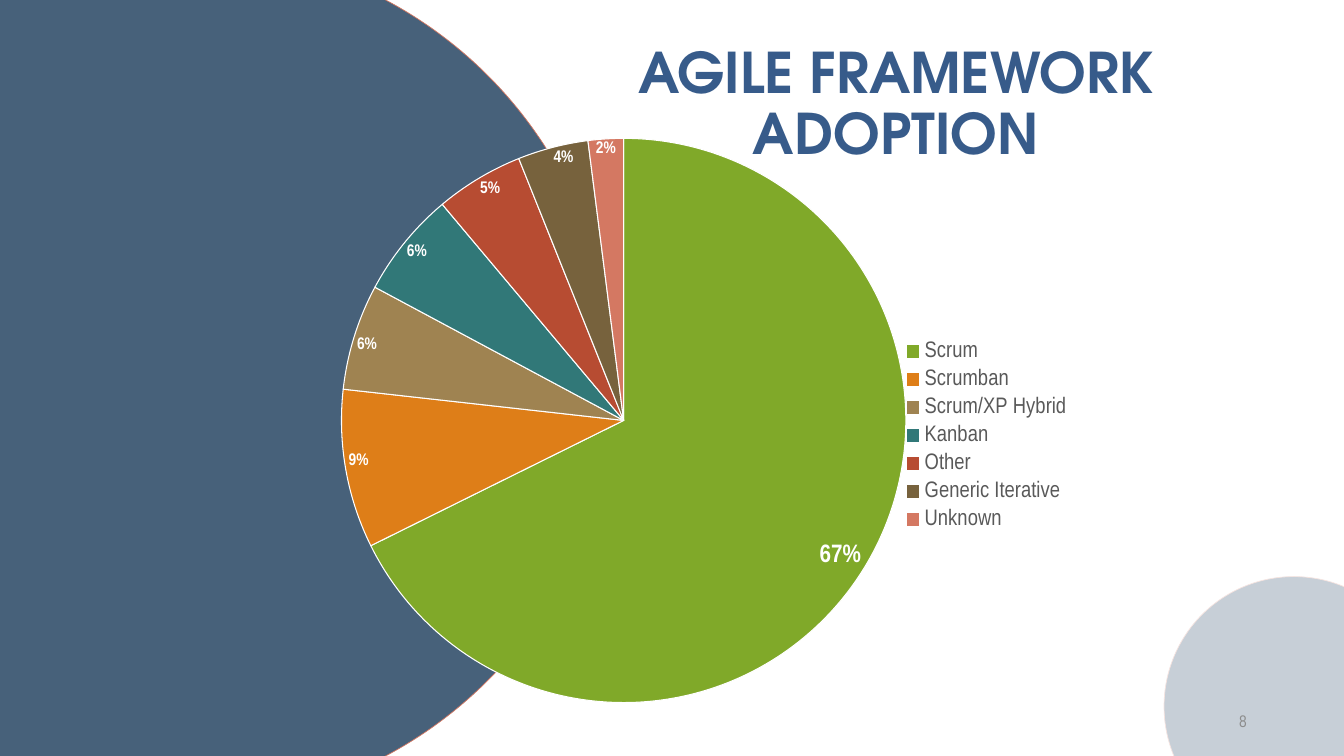
from lxml import etree
from pptx import Presentation
from pptx.chart.data import CategoryChartData
from pptx.dml.color import RGBColor
from pptx.enum.chart import XL_CHART_TYPE as ChartType
from pptx.enum.chart import XL_LABEL_POSITION as LabelPosition
from pptx.enum.chart import XL_LEGEND_POSITION as LegendPosition
from pptx.enum.shapes import MSO_SHAPE as Shape
from pptx.enum.text import MSO_ANCHOR as Anchor
from pptx.enum.text import MSO_AUTO_SIZE as AutoSize
from pptx.enum.text import PP_ALIGN as Align
from pptx.oxml.ns import qn
from pptx.util import Inches, Pt

COLORS = {
    "navy": "47617A", "mist": "C7CFD7", "coral": "D47862", "blush": "F6E4E0",
    "title": "375B8A", "number": "8C8C8C", "legend": "595959", "white": "FFFFFF",
}
BODY = "Arial Narrow"
HEADING = "TeX Gyre Adventor"
FRAMEWORKS = [
    ("Scrum", 67, "80A929"),
    ("Scrumban", 9, "DE7E18"),
    ("Scrum/XP Hybrid", 6, "9F8351"),
    ("Kanban", 6, "317878"),
    ("Other", 5, "B74C32"),
    ("Generic Iterative", 4, "77623D"),
    ("Unknown", 2, COLORS["coral"]),
]


def rgb(name):
    return RGBColor.from_string(COLORS.get(name, name))


def set_font(font, size, color, name=BODY, bold=False):
    font.size, font.name, font.bold = Pt(size), name, bold
    font.color.rgb = rgb(color)


def write(frame, text, align=Align.LEFT, anchor=Anchor.TOP, spacing=1.0, **style):
    frame.word_wrap = True
    frame.auto_size = AutoSize.NONE
    frame.vertical_anchor = anchor
    frame.text = text
    for paragraph in frame.paragraphs:
        paragraph.alignment = align
        paragraph.line_spacing = spacing
        paragraph.space_before = Pt(0)
        for run in paragraph.runs:
            set_font(run.font, **style)


def place_manually(parent, x, y, w, h, inner=False):
    for old in parent.findall(qn("c:layout")):
        parent.remove(old)
    layout = etree.Element(qn("c:layout"))
    manual = etree.SubElement(layout, qn("c:manualLayout"))
    settings = [("layoutTarget", "inner")] if inner else []
    settings += [("xMode", "edge"), ("yMode", "edge"),
                 ("x", x), ("y", y), ("w", w), ("h", h)]
    for tag, value in settings:
        etree.SubElement(manual, qn(f"c:{tag}")).set("val", str(value))
    position = parent.find(qn("c:legendPos"))
    if position is None:
        parent.insert(0, layout)
    else:
        position.addnext(layout)


class SlideBuilder:
    def __init__(self, deck):
        self.slide = deck.slides.add_slide(deck.slide_layouts[5])
        self.shapes = self.slide.shapes

    def circle(self, left, top, size, fill, line):
        circle = self.shapes.add_shape(
            Shape.OVAL, Inches(left), Inches(top), Inches(size), Inches(size))
        circle.shadow.inherit = False
        circle.fill.solid()
        circle.fill.fore_color.rgb = rgb(fill)
        circle.line.color.rgb = rgb(line)
        circle.line.width = Pt(1)

    def text(self, left, top, width, height, text, **style):
        box = self.shapes.add_textbox(
            Inches(left), Inches(top), Inches(width), Inches(height))
        write(box.text_frame, text, **style)

    def title(self, left, top, width, height, text, **style):
        title = self.shapes.title
        title.left, title.top = Inches(left), Inches(top)
        title.width, title.height = Inches(width), Inches(height)
        write(title.text_frame, text, **style)
        title.element.getparent().append(title.element)

    def pie(self, left, top, width, height, slices):
        data = CategoryChartData(number_format='0"%"')
        data.categories = [name for name, _, _ in slices]
        data.add_series("Series 1", [share for _, share, _ in slices])
        chart = self.shapes.add_chart(
            ChartType.PIE, Inches(left), Inches(top),
            Inches(width), Inches(height), data).chart
        chart.has_title = False
        chart.font.name, chart.font.size = BODY, Pt(10)

        chart.has_legend = True
        legend = chart.legend
        legend.position = LegendPosition.RIGHT
        legend.include_in_layout = False
        set_font(legend.font, 32, "legend")

        plot = chart.plots[0]
        plot.vary_by_categories = True
        series = plot.series[0]
        for index, (_, _, color) in enumerate(slices):
            wedge = series.points[index].format
            wedge.fill.solid()
            wedge.fill.fore_color.rgb = rgb(color)
            wedge.line.color.rgb = rgb("white")
            wedge.line.width = Pt(1.5)

        labels = series.data_labels
        labels.show_value = True
        labels.number_format = '0"%"'
        labels.number_format_is_linked = False
        labels.position = LabelPosition.INSIDE_END
        set_font(labels.font, 24, "white", bold=True)
        largest = series.points[0].data_label
        set_font(largest.font, 36, "white", bold=True)
        largest.position = LabelPosition.INSIDE_END

        plot_area = chart.element.find(".//" + qn("c:plotArea"))
        place_manually(plot_area, 0.07, 0.04, 0.63, 0.95, inner=True)
        place_manually(chart.element.find(".//" + qn("c:legend")),
                       0.69, 0.37, 0.2, 0.34)


def main():
    deck = Presentation()
    deck.slide_width, deck.slide_height = Inches(26.66), Inches(15)
    builder = SlideBuilder(deck)
    builder.circle(-4.82, -0.99, 16.98, "navy", "coral")
    builder.circle(23.09, 11.44, 5.15, "mist", "blush")
    builder.text(18.83, 13.9, 6, 0.8, "8", align=Align.RIGHT,
                 anchor=Anchor.MIDDLE, size=24, color="number")
    builder.pie(5.53, 2.24, 17.77, 11.85, FRAMEWORKS)
    builder.title(8.89, 0.85, 17.77, 2.9, "AGILE FRAMEWORK\nADOPTION",
                  align=Align.CENTER, spacing=0.9, size=80,
                  color="title", name=HEADING, bold=True)
    deck.save("out.pptx")


if __name__ == "__main__":
    main()
